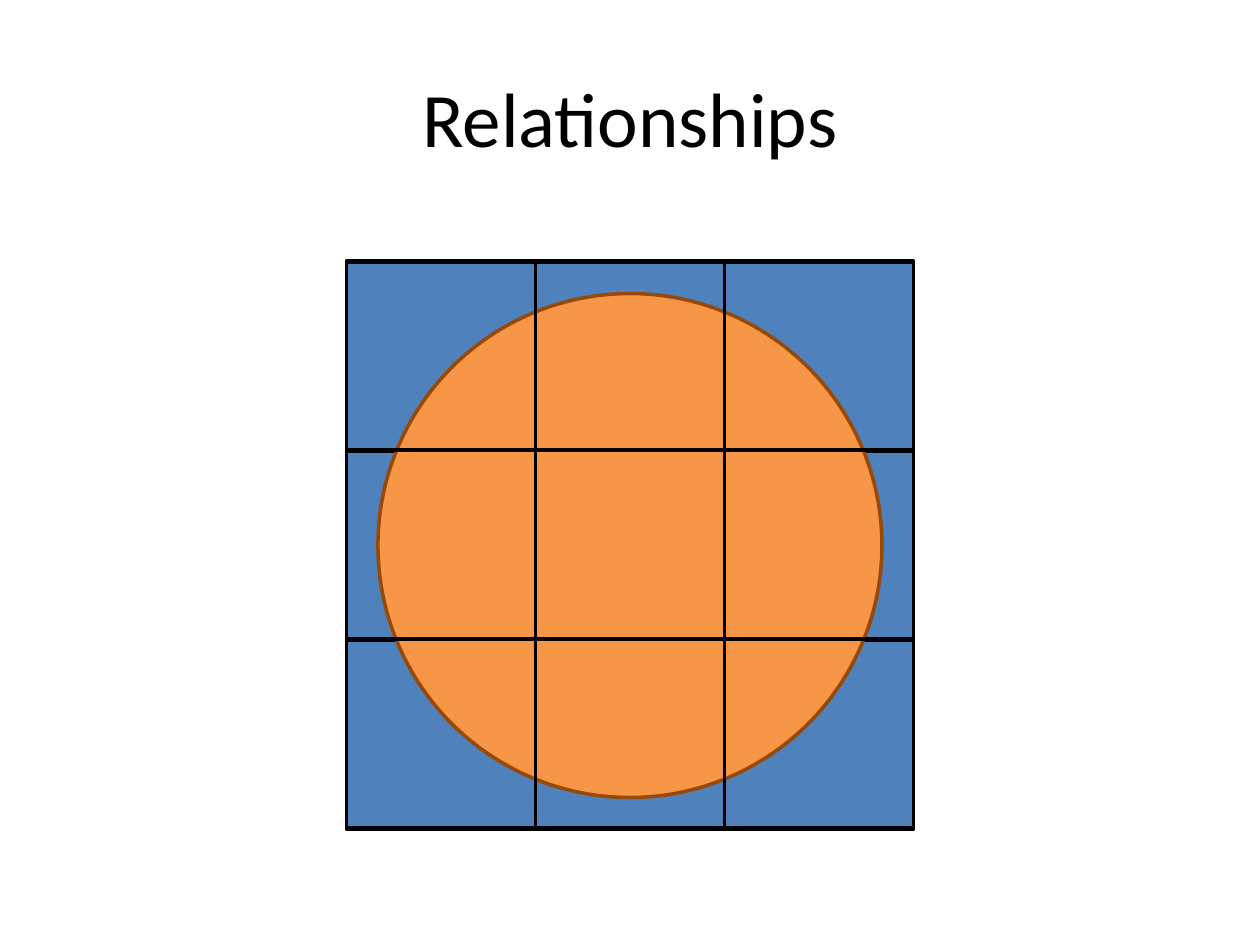
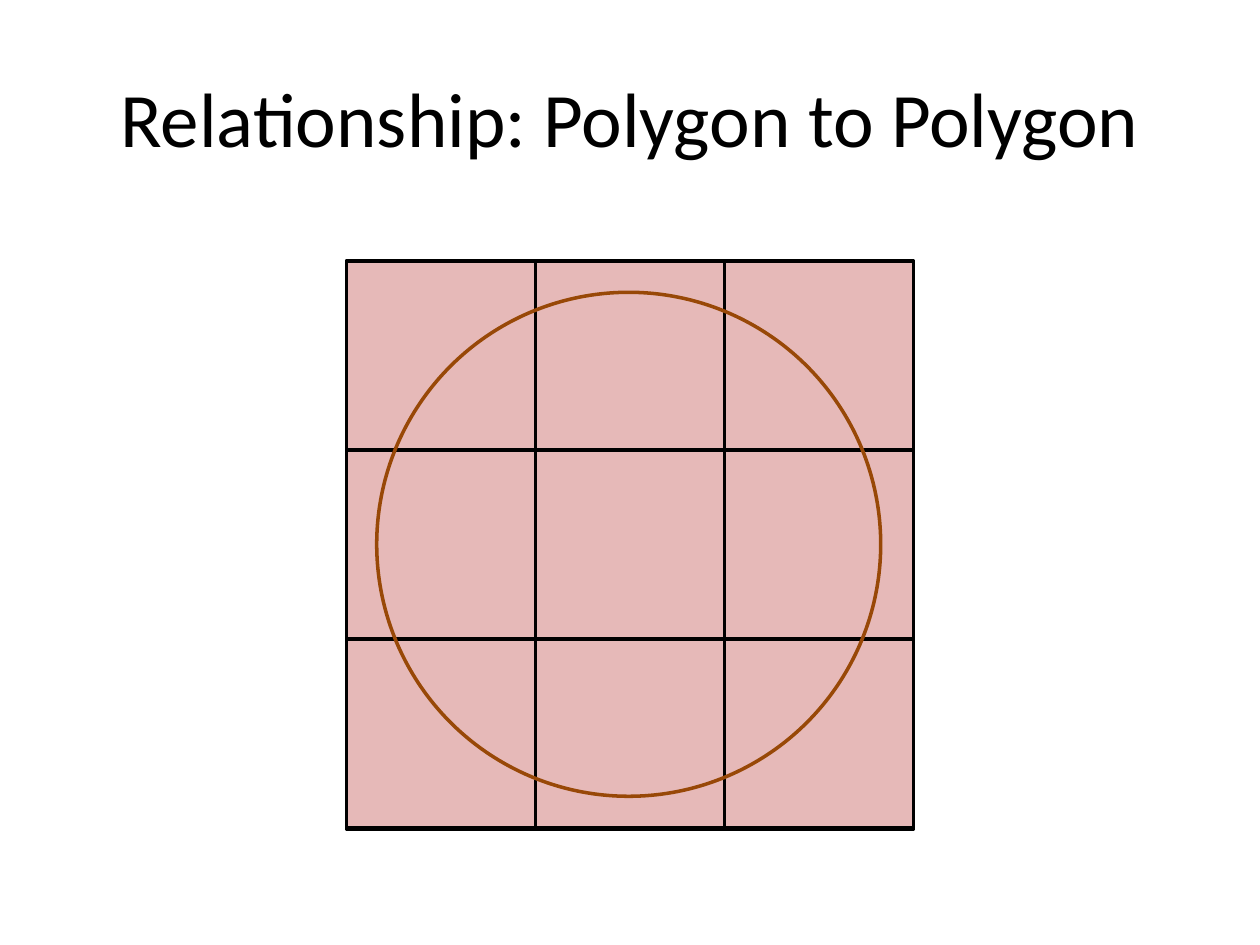
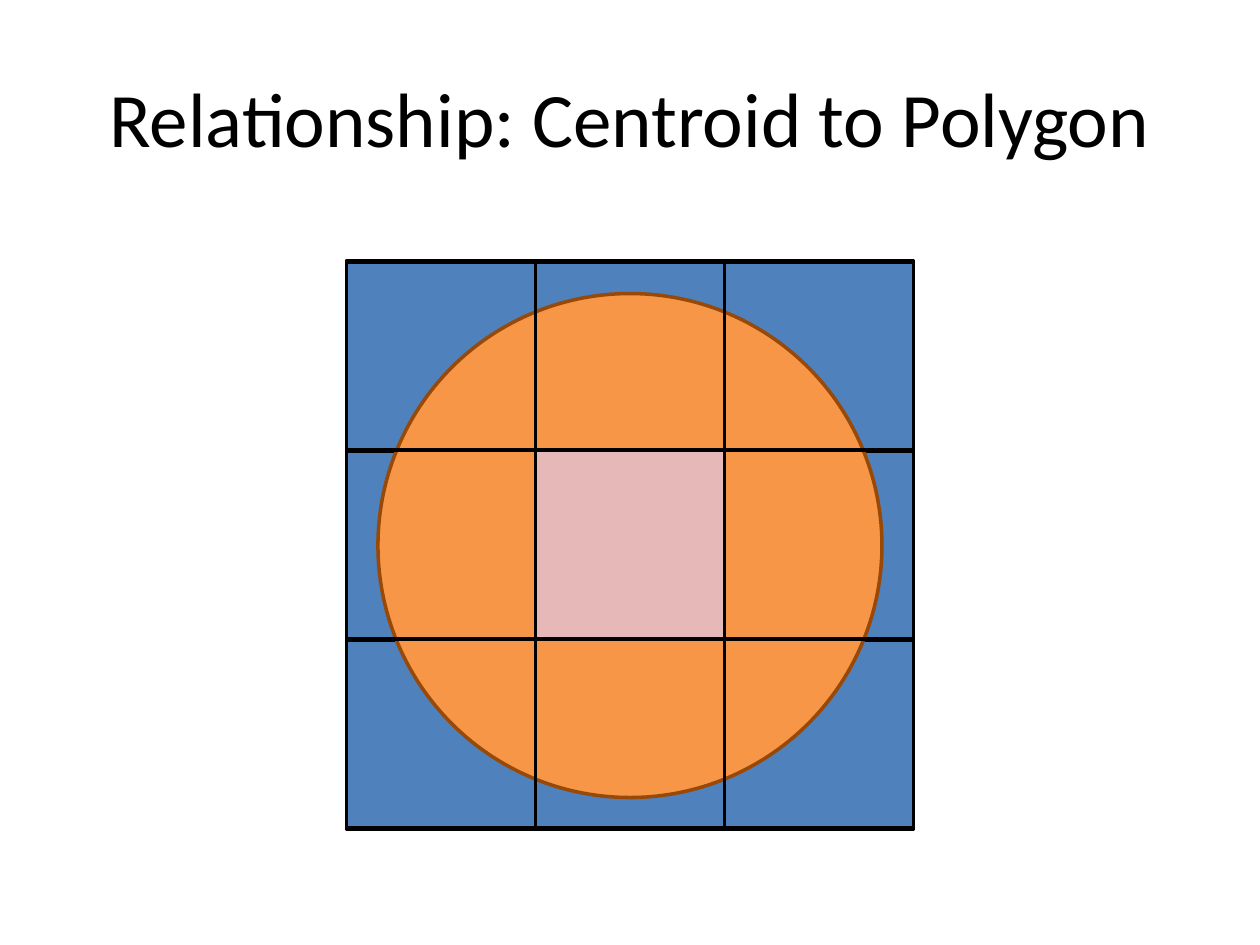
"""Build three slides on how a grid of cells relates to a circle."""
from itertools import product

from pptx import Presentation
from pptx.dml.color import RGBColor
from pptx.enum.shapes import MSO_SHAPE
from pptx.enum.text import MSO_ANCHOR, PP_ALIGN
from pptx.util import Inches, Pt

RECTANGLE = MSO_SHAPE.RECTANGLE
OVAL = MSO_SHAPE.OVAL
CENTER = PP_ALIGN.CENTER
MIDDLE = MSO_ANCHOR.MIDDLE

BLACK = RGBColor(0x00, 0x00, 0x00)
BLUE = RGBColor(0x4F, 0x81, 0xBD)
ORANGE = RGBColor(0xF7, 0x96, 0x46)
BROWN = RGBColor(0x98, 0x48, 0x07)
PINK = RGBColor(0xE6, 0xB9, 0xB8)

FONT = "Calibri"
TITLE_ONLY = 5
GRID_SIZE = 3
GRID_LEFT = 2.75
BASE_TOP = 2.08
OVERLAY_TOP = 2.07
CELL = 1.5
DIAMETER = 4
ALL_CELLS = set(product(range(GRID_SIZE), repeat=2))
CENTER_CELL = {(1, 1)}


def write_text(frame, text, *, size, color, align=CENTER, anchor=MIDDLE):
    """Put one formatted paragraph into a text frame."""
    frame.text = text
    frame.word_wrap = True
    frame.vertical_anchor = anchor
    paragraph = frame.paragraphs[0]
    paragraph.alignment = align
    font = paragraph.runs[0].font
    font.name = FONT
    font.size = Pt(size)
    font.color.rgb = color


class Deck:
    """Hold the shared style and the current slide."""

    def __init__(self):
        """Start an empty 10 by 7.5 inch presentation."""
        self.presentation = Presentation()
        self.presentation.slide_width = Inches(10)
        self.presentation.slide_height = Inches(7.5)
        self.line_width = Pt(2)
        self.slide = None

    def add_slide(self, heading):
        """Add a slide with its title."""
        layout = self.presentation.slide_layouts[TITLE_ONLY]
        self.slide = self.presentation.slides.add_slide(layout)
        title = self.slide.shapes.title
        title.left, title.top = Inches(0.5), Inches(0.3)
        title.width, title.height = Inches(9), Inches(1.25)
        write_text(title.text_frame, heading, size=44, color=BLACK)

    def outline(self, shapes, kind, left, top, size, color, fill=None):
        """Draw a shape of equal width and height, filled or hollow."""
        shape = shapes.add_shape(
            kind, Inches(left), Inches(top), Inches(size), Inches(size)
        )
        shape.shadow.inherit = False
        if fill is None:
            shape.fill.background()
        else:
            shape.fill.solid()
            shape.fill.fore_color.rgb = fill
        shape.line.color.rgb = color
        shape.line.width = self.line_width

    def grid(self, top, fill, filled_cells):
        """Draw a grouped grid in which only the given cells are filled."""
        cells = self.slide.shapes.add_group_shape().shapes
        for row, column in sorted(ALL_CELLS):
            self.outline(
                cells, RECTANGLE, GRID_LEFT + column * CELL, top + row * CELL,
                CELL, BLACK, fill if (row, column) in filled_cells else None,
            )

    def circle(self, left, top, fill=None):
        """Draw the circle that is compared with the grid."""
        self.outline(self.slide.shapes, OVAL, left, top, DIAMETER, BROWN, fill)

    def relationship(self, heading, matched_cells):
        """Add a slide showing which cells match the circle."""
        self.add_slide(heading)
        self.grid(BASE_TOP, BLUE, ALL_CELLS)
        self.circle(3, 2.33, ORANGE)
        self.grid(OVERLAY_TOP, PINK, matched_cells)


def main():
    """Build and save the slides."""
    deck = Deck()
    deck.relationship("Relationships", set())
    deck.relationship("Relationship: Polygon to Polygon", ALL_CELLS)
    deck.circle(2.99, 2.32)
    deck.relationship("Relationship: Centroid to Polygon", CENTER_CELL)
    deck.presentation.save("out.pptx")


if __name__ == "__main__":
    main()
